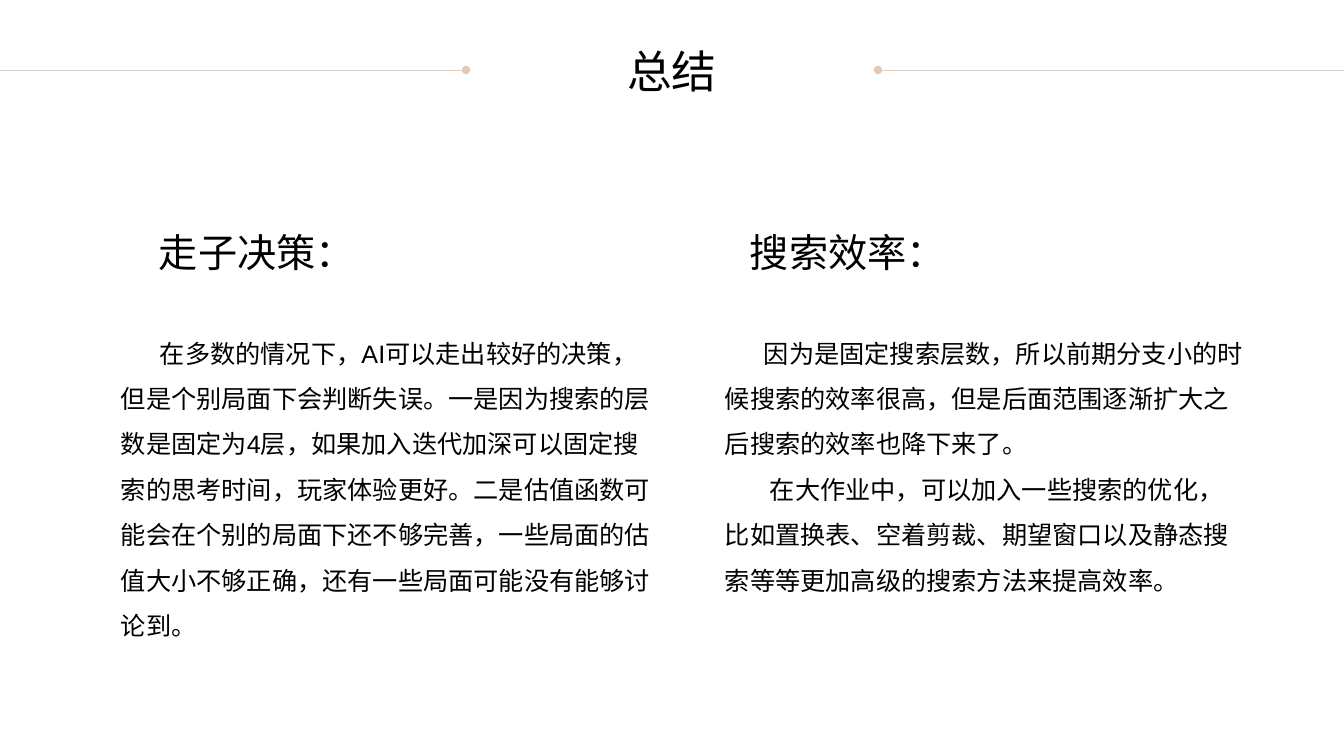
from lxml import etree
from pptx import Presentation
from pptx.dml.color import RGBColor
from pptx.enum.shapes import MSO_CONNECTOR
from pptx.enum.text import MSO_ANCHOR, PP_ALIGN
from pptx.oxml.ns import qn
from pptx.util import Emu, Pt

STRAIGHT = MSO_CONNECTOR.STRAIGHT
LEFT, CENTER = PP_ALIGN.LEFT, PP_ALIGN.CENTER
TOP, MIDDLE = MSO_ANCHOR.TOP, MSO_ANCHOR.MIDDLE

WIDTH, HEIGHT = 1344, 756
PX = 12192000 / WIDTH
COLORS = {"text": "000000", "rule": "E3CAB4"}
CJK = "Noto Sans CJK SC"

TITLE = "总结"
# heading, heading left, body left, body width, body height, [(first-line indent, text)]
COLUMNS = [
    ("走子决策：", 149, 111, 556, 331, [
        (39, "在多数的情况下，AI可以走出较好的决策，但是个别局面下会判断失误。一是因为搜索的层数是固定为4层，如果加入迭代加深可以固定搜索的思考时间，玩家体验更好。二是估值函数可能会在个别的局面下还不够完善，一些局面的估值大小不够正确，还有一些局面可能没有能够讨论到。"),
    ]),
    ("搜索效率：", 740, 715, 543, 285, [
        (39, "因为是固定搜索层数，所以前期分支小的时候搜索的效率很高，但是后面范围逐渐扩大之后搜索的效率也降下来了。"),
        (45, "在大作业中，可以加入一些搜索的优化，比如置换表、空着剪裁、期望窗口以及静态搜索等等更加高级的搜索方法来提高效率。"),
    ]),
]
RULE_Y, RULE_LEN = 70, 466
HEAD_Y, BODY_Y = 223, 318

STYLES = {
    "title": {"font": {"name": CJK, "size": Pt(32)}, "para": {"alignment": CENTER},
              "frame": {"word_wrap": False, "vertical_anchor": MIDDLE}},
    "head": {"font": {"name": CJK, "size": Pt(28)}, "para": {"alignment": LEFT},
             "frame": {"word_wrap": False, "vertical_anchor": MIDDLE}},
    "body": {"font": {"name": "Arial", "size": Pt(18)},
             "para": {"alignment": LEFT, "line_spacing": Pt(32.4)},
             "frame": {"word_wrap": True, "vertical_anchor": TOP}},
}


def px(n):
    return Emu(round(n * PX))


def apply(target, values):
    for key, value in values.items():
        setattr(target, key, value)


def add_text(slide, box, lines, style):
    """Add a text box; lines holds (first-line indent, text) pairs."""
    frame = slide.shapes.add_textbox(*map(px, box)).text_frame
    apply(frame, style["frame"])
    for i, (indent, text) in enumerate(lines):
        para = frame.add_paragraph() if i else frame.paragraphs[0]
        apply(para, style["para"])
        if indent:
            para._p.get_or_add_pPr().set("indent", str(px(indent)))
        run = para.add_run()
        run.text = text
        apply(run.font, style["font"])
        run.font.color.rgb = RGBColor.from_string(COLORS["text"])
        east = etree.SubElement(run._r.get_or_add_rPr(), qn("a:ea"))
        east.set("typeface", style["font"]["name"])


def add_rule(slide, start, end, dot):
    """Add a level line with a round dot at its head or tail end."""
    rule = slide.shapes.add_connector(
        STRAIGHT, px(start), px(RULE_Y), px(end), px(RULE_Y))
    rule.line.color.rgb = RGBColor.from_string(COLORS["rule"])
    rule.line.width = Pt(0.5)
    etree.SubElement(rule.line._get_or_add_ln(), qn(dot)).set("type", "oval")
    etree.SubElement(rule._element.spPr, qn("a:effectLst"))


def main():
    deck = Presentation()
    deck.slide_width, deck.slide_height = px(WIDTH), px(HEIGHT)
    slide = deck.slides.add_slide(deck.slide_layouts[6])

    add_rule(slide, 0, RULE_LEN, "a:tailEnd")
    add_rule(slide, WIDTH - RULE_LEN, WIDTH, "a:headEnd")
    add_text(slide, (617, 38, 110, 65), [(0, TITLE)], STYLES["title"])
    for head, head_x, body_x, width, height, lines in COLUMNS:
        add_text(slide, (head_x, HEAD_Y, 216, 57), [(0, head)], STYLES["head"])
        add_text(slide, (body_x, BODY_Y, width, height), lines, STYLES["body"])

    deck.save("out.pptx")


if __name__ == "__main__":
    main()
